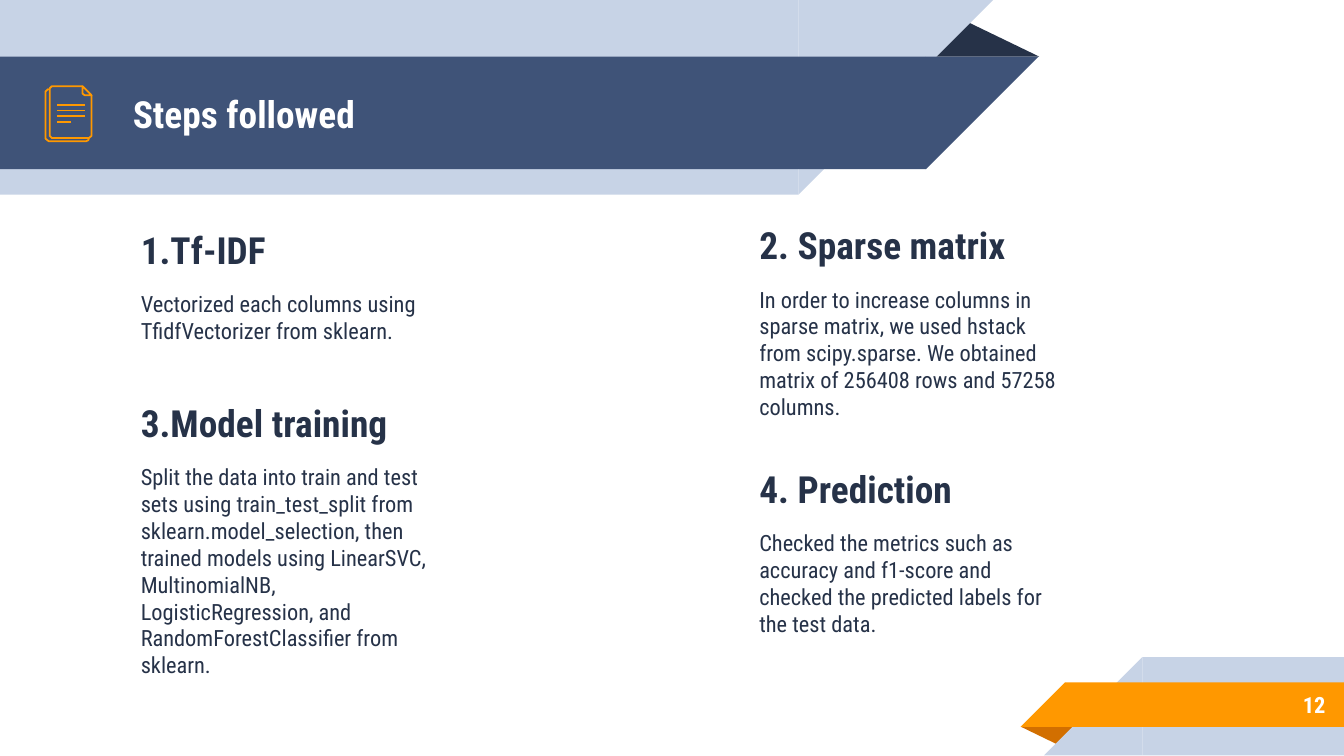
"""Build the "Steps followed" slide with four numbered steps."""
from lxml.etree import SubElement
from pptx import Presentation
from pptx.dml.color import RGBColor
from pptx.enum.shapes import MSO_CONNECTOR, MSO_SHAPE as Preset
from pptx.enum.text import MSO_ANCHOR as Anchor, MSO_AUTO_SIZE as AutoSize, PP_ALIGN as Align
from pptx.oxml.ns import qn
from pptx.util import Cm, Pt

FONT = "Roboto Condensed"
NAVY, BLUE, PALE = "263248", "3F5378", "C7D3E6"
ORANGE, RUST, WHITE = "FF9800", "D26F00", "FFFFFF"

TITLE = "Steps followed"
PAGE_NUMBER = "12"
LEFT_COLUMN, RIGHT_COLUMN, STEP_WIDTH = 2.41, 14.1, 6.25
STEPS = [
    (LEFT_COLUMN, 3.66, 3.48, "1.Tf-IDF",
     "Vectorized each columns using TfidfVectorizer from sklearn."),
    (RIGHT_COLUMN, 3.96, 4.22, "2. Sparse matrix",
     "In order to increase columns in sparse matrix, we used hstack from scipy.sparse. "
     "We obtained matrix of 256408 rows and 57258 columns."),
    (LEFT_COLUMN, 8.08, 4.22, "3.Model training",
     "Split the data into train and test sets using train_test_split from "
     "sklearn.model_selection, then trained models using LinearSVC, MultinomialNB, "
     "LogisticRegression, and RandomForestClassifier from sklearn."),
    (RIGHT_COLUMN, 8.31, 4.22, "4. Prediction",
     "Checked the metrics such as accuracy and f1-score and checked the predicted "
     "labels for the test data."),
]
HEADER_FOLD = (17.48, 0.36, 2.16, 0.71)
HEADER_BANDS = [(0, 0, 15.09, 3.68, PALE), (0, 1.07, 17.5, 2.13, BLUE)]
FOOTER_FOLD = (19.3, 13.74, 1.09, 0.36)
FOOTER_BANDS = [(21.59, 12.42, 3.81, 1.86, PALE), (20.13, 12.9, 5.27, 0.84, ORANGE)]
BACK_SHEET = [(1.68, 2.61), (1.67, 2.65), (1.63, 2.67), (0.92, 2.67),
              (0.86, 2.62), (0.86, 1.73), (0.92, 1.68)]
FRONT_SHEET = [(1.73, 1.8), (1.73, 2.57), (1.68, 2.61), (0.98, 2.61),
               (0.94, 2.57), (0.94, 1.67), (0.98, 1.63), (1.56, 1.63)]
SHEET_CORNER = [(1.56, 1.63), (1.73, 1.8), (1.6, 1.8), (1.56, 1.77)]
SHEET_LINES = [1.6, 1.6, 1.6, 1.35]


def color(hex_code):
    return RGBColor.from_string(hex_code)


def lengths(*values):
    return [Cm(value) for value in values]


def add_preset(slide, preset, box, fill, rotation=0, flip=False):
    shape = slide.shapes.add_shape(preset, *lengths(*box))
    shape.shadow.inherit = False
    shape.fill.solid()
    shape.fill.fore_color.rgb = color(fill)
    shape.line.fill.background()
    shape.rotation = rotation
    if flip:
        shape._element.spPr.find(qn("a:xfrm")).set("flipH", "1")
    return shape


def add_ribbon(slide, fold, fold_color, bands, is_header):
    fold_shape = add_preset(slide, Preset.ISOSCELES_TRIANGLE, fold, fold_color,
                            0 if is_header else 180)
    fold_shape.adjustments[0] = 0.32
    rotation = 180 if is_header else 0
    for left, top, width, height, fill in bands:
        tip = left + width if is_header else left - height
        add_preset(slide, Preset.RECTANGLE, (left, top, width, height), fill)
        add_preset(slide, Preset.RIGHT_TRIANGLE, (tip, top, height, height), fill,
                   rotation, flip=True)


def style_outline(shape):
    shape.line.color.rgb = color(ORANGE)
    shape.line.width = Pt(0.96)


def add_outline(slide, points, close=False):
    start, *rest = [lengths(*point) for point in points]
    builder = slide.shapes.build_freeform(*start)
    builder.add_line_segments(rest, close=close)
    shape = builder.convert_to_shape()
    shape.shadow.inherit = False
    shape.fill.background()
    style_outline(shape)


def add_document_icon(slide):
    add_outline(slide, BACK_SHEET)
    add_outline(slide, FRONT_SHEET)
    add_outline(slide, SHEET_CORNER, close=True)
    for index, right in enumerate(SHEET_LINES):
        y = 1.98 + 0.11 * index
        line = slide.shapes.add_connector(MSO_CONNECTOR.STRAIGHT, *lengths(right, y, 1.07, y))
        style_outline(line)
        SubElement(line._element.spPr, qn("a:effectLst"))


def fill_text(shape, box, paragraphs, text_color, align=Align.LEFT):
    shape.left, shape.top, shape.width, shape.height = lengths(*box)
    frame = shape.text_frame
    frame.word_wrap = True
    frame.auto_size = AutoSize.NONE
    frame.vertical_anchor = Anchor.MIDDLE
    frame.margin_left = frame.margin_right = frame.margin_top = frame.margin_bottom = Cm(0.25)
    frame.text = "\n".join(text for text, *_ in paragraphs)
    for paragraph, (_, size, bold, before, after) in zip(frame.paragraphs, paragraphs):
        paragraph.alignment = align
        paragraph.space_before, paragraph.space_after = Pt(before), Pt(after)
        font = paragraph.font
        font.name, font.size, font.bold = FONT, Pt(size), bold
        font.color.rgb = color(text_color)
        properties = paragraph._p.get_or_add_pPr()
        properties.set("marL", "0")
        properties.set("indent", "0")
        properties.insert_element_before(properties.makeelement(qn("a:buNone")),
                                         "a:tabLst", "a:defRPr", "a:extLst")


def main():
    presentation = Presentation()
    presentation.slide_width, presentation.slide_height = lengths(25.4, 14.29)
    slide = presentation.slides.add_slide(presentation.slide_layouts.get_by_name("Comparison"))
    title, *bodies = list(slide.placeholders)

    add_ribbon(slide, HEADER_FOLD, NAVY, HEADER_BANDS, is_header=True)
    add_ribbon(slide, FOOTER_FOLD, RUST, FOOTER_BANDS, is_header=False)
    for placeholder in (title, *bodies):
        slide.shapes._spTree.append(placeholder._element)

    fill_text(title, (2.26, 1.09, 14.6, 2.13), [(TITLE, 20, True, 0, 0)], WHITE)
    for body, (left, top, height, heading, text) in zip(bodies, STEPS):
        fill_text(body, (left, top, STEP_WIDTH, height),
                  [(heading, 20, True, 6, 0), (text, 12, False, 10, 10)], NAVY)
    number_box = (21.16, 12.88, 4.14, 0.89)
    number = slide.shapes.add_textbox(*lengths(*number_box))
    fill_text(number, number_box, [(PAGE_NUMBER, 12, True, 0, 0)], WHITE, Align.RIGHT)
    add_document_icon(slide)
    presentation.save("out.pptx")


if __name__ == "__main__":
    main()
